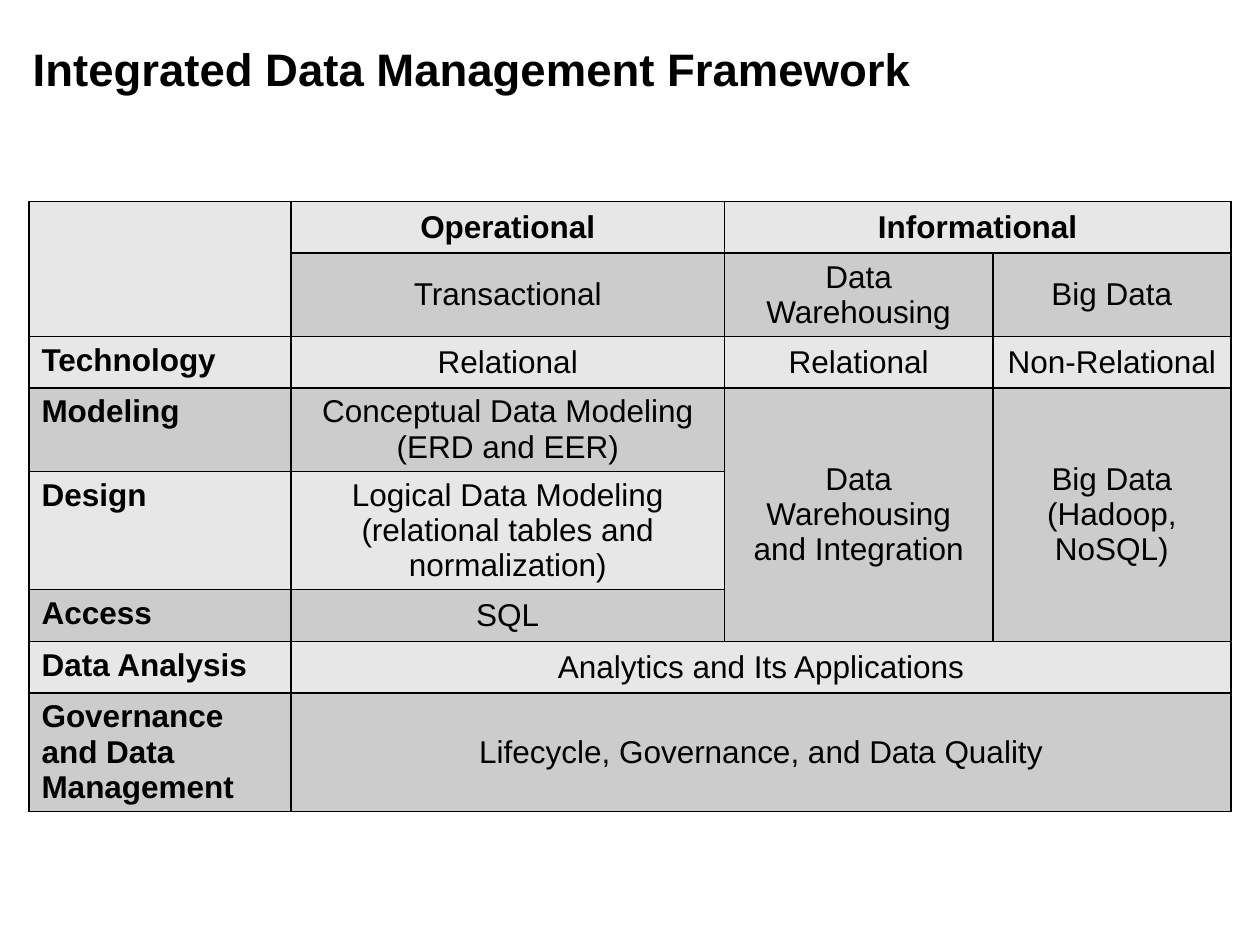
from dataclasses import dataclass

from lxml import etree
from pptx import Presentation
from pptx.dml.color import RGBColor
from pptx.enum import text
from pptx.oxml import ns
from pptx.slide import Slide
from pptx.table import Table, _Cell
from pptx.util import Inches, Pt

BLACK = RGBColor(0x00, 0x00, 0x00)
WHITE = RGBColor(0xFF, 0xFF, 0xFF)
BANDS = (RGBColor(0xE7, 0xE7, 0xE7), RGBColor(0xCC, 0xCC, 0xCC))
FONT = "Arial"
COLUMN_WIDTHS = (2.08, 3.44, 2.13, 1.89)
ROW_HEIGHTS = (0.41, 0.66, 0.41, 0.66, 0.94, 0.41, 0.41, 0.94)


@dataclass(frozen=True)
class Entry:
    row: int
    column: int
    label: str
    rows: int = 1
    columns: int = 1

    @property
    def is_heading(self) -> bool:
        return self.row == 0 or self.column == 0


ENTRIES = (
    Entry(0, 0, "", rows=2),
    Entry(0, 1, "Operational"),
    Entry(0, 2, "Informational", columns=2),
    Entry(1, 1, "Transactional"),
    Entry(1, 2, "Data Warehousing"),
    Entry(1, 3, "Big Data"),
    Entry(2, 0, "Technology"),
    Entry(2, 1, "Relational"),
    Entry(2, 2, "Relational"),
    Entry(2, 3, "Non-Relational"),
    Entry(3, 0, "Modeling"),
    Entry(3, 1, "Conceptual Data Modeling (ERD and EER)"),
    Entry(3, 2, "Data Warehousing and Integration", rows=3),
    Entry(3, 3, "Big Data (Hadoop, NoSQL)", rows=3),
    Entry(4, 0, "Design"),
    Entry(4, 1, "Logical Data Modeling (relational tables and normalization)"),
    Entry(5, 0, "Access"),
    Entry(5, 1, "SQL"),
    Entry(6, 0, "Data Analysis"),
    Entry(6, 1, "Analytics and Its Applications", columns=3),
    Entry(7, 0, "Governance and Data Management"),
    Entry(7, 1, "Lifecycle, Governance, and Data Quality", columns=3),
)


def format_paragraph(paragraph, size: int, bold: bool, alignment) -> None:
    paragraph.alignment = alignment
    for run in paragraph.runs:
        run.font.name = FONT
        run.font.size = Pt(size)
        run.font.bold = bold
        run.font.color.rgb = BLACK


def style_cell(cell: _Cell, band: RGBColor) -> None:
    properties = cell._tc.get_or_add_tcPr()
    for edge in ("a:lnL", "a:lnR", "a:lnT", "a:lnB"):
        line = etree.SubElement(properties, ns.qn(edge), w=str(Pt(1)))
        fill = etree.SubElement(line, ns.qn("a:solidFill"))
        etree.SubElement(fill, ns.qn("a:srgbClr"), val=str(BLACK))
    cell.fill.solid()
    cell.fill.fore_color.rgb = band


def fill_entry(table: Table, entry: Entry) -> None:
    cell = table.cell(entry.row, entry.column)
    if entry.rows > 1 or entry.columns > 1:
        cell.merge(table.cell(entry.row + entry.rows - 1,
                              entry.column + entry.columns - 1))
    cell.text_frame.text = entry.label
    is_side = entry.column == 0
    cell.vertical_anchor = text.MSO_ANCHOR.TOP if is_side else text.MSO_ANCHOR.MIDDLE
    alignment = text.PP_ALIGN.LEFT if is_side else text.PP_ALIGN.CENTER
    format_paragraph(cell.text_frame.paragraphs[0], 18, entry.is_heading, alignment)


def add_title(slide: Slide) -> None:
    title = slide.shapes.title
    title.left, title.top = Inches(0.16), Inches(0.22)
    title.width, title.height = Inches(7.86), Inches(0.64)
    title.text_frame.text = "Integrated Data Management Framework"
    title.text_frame.vertical_anchor = text.MSO_ANCHOR.MIDDLE
    format_paragraph(title.text_frame.paragraphs[0], 26, True, text.PP_ALIGN.LEFT)


def add_framework_table(slide: Slide) -> None:
    table = slide.shapes.add_table(
        len(ROW_HEIGHTS), len(COLUMN_WIDTHS), Inches(0.23), Inches(1.6),
        Inches(sum(COLUMN_WIDTHS)), Inches(sum(ROW_HEIGHTS))).table
    for column, width in zip(table.columns, COLUMN_WIDTHS):
        column.width = Inches(width)
    for index, (row, height) in enumerate(zip(table.rows, ROW_HEIGHTS)):
        row.height = Inches(height)
        for cell in row.cells:
            style_cell(cell, BANDS[index % 2])
    for entry in ENTRIES:
        fill_entry(table, entry)


def main() -> None:
    presentation = Presentation()
    presentation.slide_width = Inches(10)
    presentation.slide_height = Inches(7.5)
    slide = presentation.slides.add_slide(presentation.slide_layouts[5])
    slide.background.fill.solid()
    slide.background.fill.fore_color.rgb = WHITE
    add_title(slide)
    add_framework_table(slide)
    presentation.save("out.pptx")


if __name__ == "__main__":
    main()
